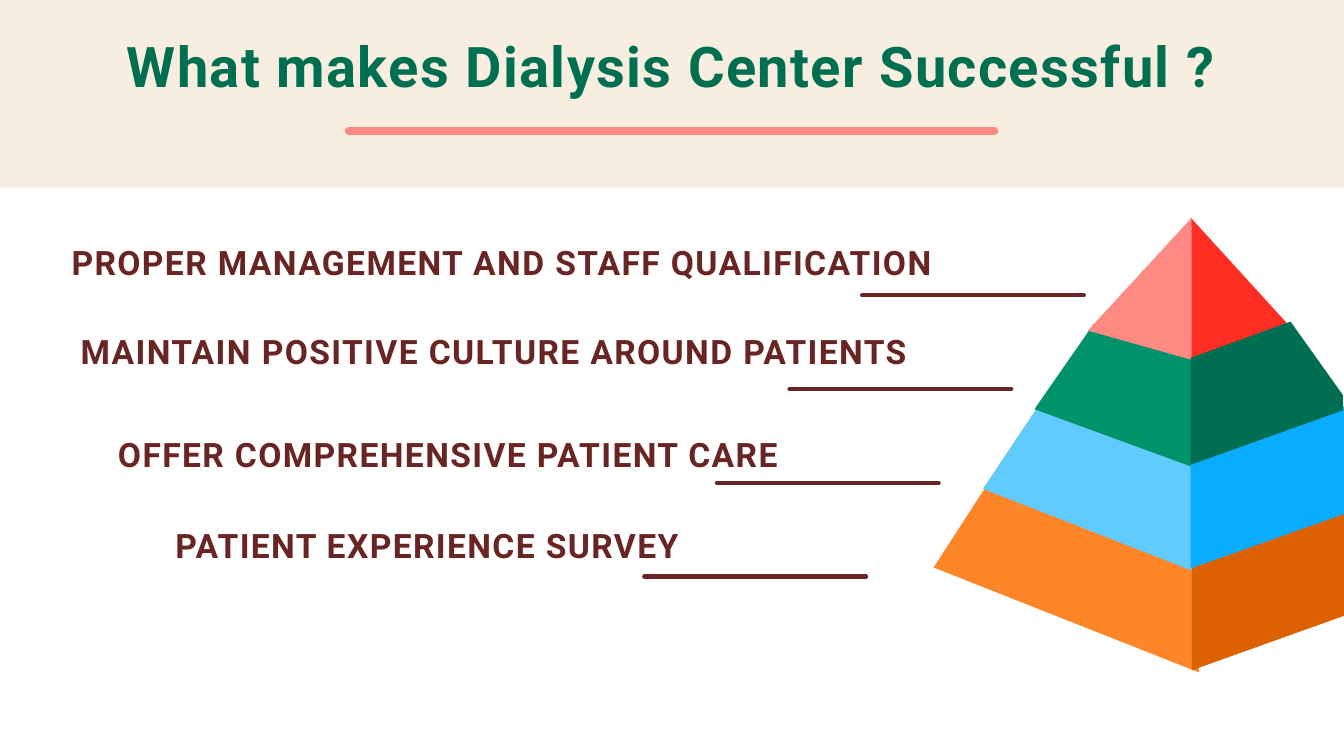
import pptx
import pptx.dml.color
import pptx.enum.shapes
import pptx.enum.text
import pptx.oxml.ns
import pptx.util
from lxml import etree

Inches = pptx.util.Inches
Pt = pptx.util.Pt
RGBColor = pptx.dml.color.RGBColor
ANCHOR = pptx.enum.text.MSO_ANCHOR
ALIGN = pptx.enum.text.PP_ALIGN

CREAM = RGBColor(0xF8, 0xEE, 0xE0)
MAROON = RGBColor(0x69, 0x25, 0x23)
CORAL = RGBColor(0xFF, 0x89, 0x83)
RED = RGBColor(0xFF, 0x2D, 0x22)
GREEN = RGBColor(0x00, 0x93, 0x6B)
DARK_GREEN = RGBColor(0x00, 0x6E, 0x50)
SKY = RGBColor(0x61, 0xCA, 0xFF)
BLUE = RGBColor(0x09, 0xAC, 0xFF)
ORANGE = RGBColor(0xFF, 0x86, 0x28)
DARK_ORANGE = RGBColor(0xDD, 0x61, 0x00)

TITLE = ("What makes Dialysis Center Successful ?", (0.58, -0.13, 12.16, 1.66))
FACTORS = [
    ("PROPER MANAGEMENT AND STAFF QUALIFICATION", (0.58, 2.15, 13.54, 0.72)),
    ("MAINTAIN POSITIVE CULTURE AROUND PATIENTS", (0.67, 3.19, 9.17, 0.56)),
    ("OFFER COMPREHENSIVE PATIENT CARE", (1.04, 4.34, 8.42, 0.44)),
    ("PATIENT EXPERIENCE SURVEY", (1.61, 5.06, 7.1, 0.62)),
]
PYRAMID_FACES = [
    (ORANGE, [(9.81, 4.78), (9.26, 5.63), (11.89, 6.67), (11.89, 5.6)]),
    (SKY, [(10.31, 4.01), (9.75, 4.85), (11.82, 5.66), (11.82, 4.6)]),
    (GREEN, [(10.85, 3.21), (10.26, 4.06), (11.82, 4.63), (11.82, 3.57)]),
    (RED, [(11.81, 2.16), (11.81, 3.57), (12.84, 3.29)]),
    (CORAL, [(10.79, 3.28), (11.82, 3.57), (11.82, 2.16)]),
    (DARK_ORANGE, [(13.33, 5.05), (13.33, 6.11), (11.82, 6.65), (11.82, 5.59)]),
    (BLUE, [(13.33, 4.03), (13.33, 5.1), (11.81, 5.64), (11.81, 4.57)]),
    (DARK_GREEN, [(12.8, 3.19), (13.32, 3.92), (13.32, 4.07), (11.81, 4.61), (11.81, 3.55)]),
]


def apply_format(target, values):
    for name, value in values.items():
        setattr(target, name, value)


class SlidePainter:
    frame_format = {
        "word_wrap": True,
        "margin_left": Inches(0.13),
        "margin_right": Inches(0.13),
        "margin_top": Inches(0.07),
        "margin_bottom": Inches(0.07),
    }
    para_format = {"line_spacing": 0.85, "space_after": Pt(6)}
    font_format = {"name": "Roboto", "bold": True}
    letter_spacing = "100"

    def __init__(self, page):
        self.page = page

    def paint(self, shape, color):
        shape.shadow.inherit = False
        shape.fill.solid()
        shape.fill.fore_color.rgb = color
        shape.line.fill.background()

    def band(self, bounds, color):
        kind = pptx.enum.shapes.MSO_SHAPE.RECTANGLE
        self.paint(self.page.shapes.add_shape(kind, *map(Inches, bounds)), color)

    def face(self, points, color):
        corners = [(Inches(x), Inches(y)) for x, y in points]
        builder = self.page.shapes.build_freeform(*corners[0], scale=1.0)
        builder.add_line_segments(corners[1:], close=True)
        self.paint(builder.convert_to_shape(), color)

    def rule(self, left, top, length, color, width):
        kind = pptx.enum.shapes.MSO_CONNECTOR.STRAIGHT
        ends = (left, top, left + length, top)
        connector = self.page.shapes.add_connector(kind, *map(Inches, ends))
        connector.line.color.rgb = color
        connector.line.width = Pt(width)
        properties = connector._element.spPr
        properties.find(pptx.oxml.ns.qn("a:ln")).set("cap", "rnd")
        etree.SubElement(properties, pptx.oxml.ns.qn("a:effectLst"))

    def text(self, words, bounds, color, size, anchor, align):
        box = self.page.shapes.add_textbox(*map(Inches, bounds))
        apply_format(box.text_frame, {**self.frame_format, "vertical_anchor": anchor})
        para = box.text_frame.paragraphs[0]
        apply_format(para, {**self.para_format, "alignment": align})
        span = para.add_run()
        span.text = words
        apply_format(span.font, {**self.font_format, "size": Pt(size)})
        span.font.color.rgb = color
        span._r.get_or_add_rPr().set("spc", self.letter_spacing)


def main():
    deck = pptx.Presentation()
    apply_format(deck, {"slide_width": Inches(13.33), "slide_height": Inches(7.5)})
    painter = SlidePainter(deck.slides.add_slide(deck.slide_layouts[6]))

    painter.band((0, 0, 13.33, 1.86), CREAM)
    painter.rule(3.46, 1.3, 6.4, CORAL, 6)
    painter.text(*TITLE, DARK_GREEN, 40, ANCHOR.MIDDLE, ALIGN.CENTER)

    for level, (words, bounds) in enumerate(FACTORS):
        painter.rule(8.55 - 0.72 * level, 2.93 + 0.93 * level, 2.2, MAROON, 3)
        painter.text(words, bounds, MAROON, 24, ANCHOR.BOTTOM, ALIGN.LEFT)

    for color, points in PYRAMID_FACES:
        painter.face(points, color)

    deck.save("out.pptx")


if __name__ == "__main__":
    main()
